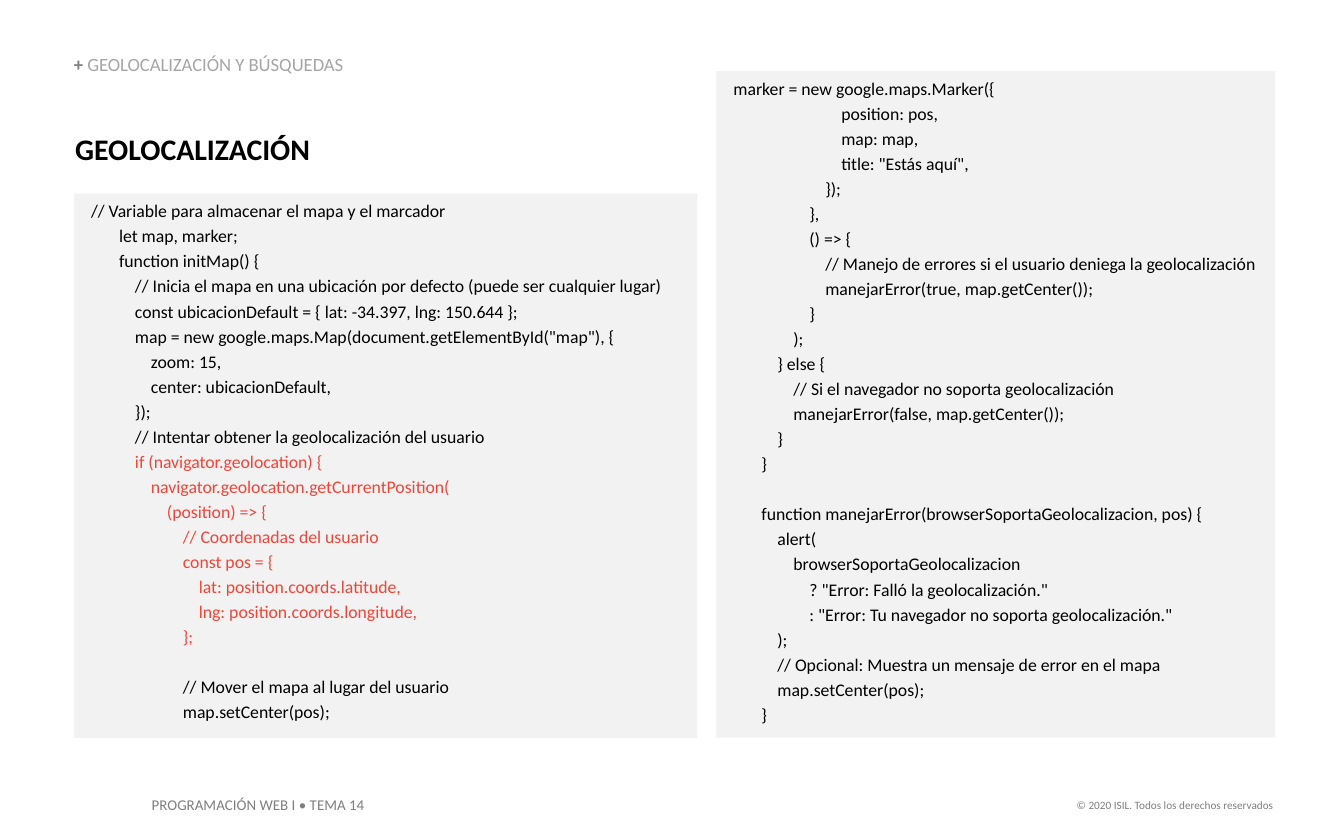
from pptx import Presentation
from pptx.dml.color import RGBColor
from pptx.enum.shapes import MSO_SHAPE
from pptx.enum.text import MSO_ANCHOR, PP_ALIGN
from pptx.util import Inches, Pt

BLACK = RGBColor(0x00, 0x00, 0x00)
RED = RGBColor(0xEF, 0x46, 0x39)
GRAY = RGBColor(0x7F, 0x7F, 0x7F)
LIGHT_GRAY = RGBColor(0xA5, 0xA5, 0xA5)
PANEL = RGBColor(0xF2, 0xF2, 0xF2)

LINE_GAP = 2
BLANK_LINE_GAP = 15.4

MAP_SETUP = """ // Variable para almacenar el mapa y el marcador
        let map, marker;
        function initMap() {
            // Inicia el mapa en una ubicación por defecto (puede ser cualquier lugar)
            const ubicacionDefault = { lat: -34.397, lng: 150.644 };
            map = new google.maps.Map(document.getElementById("map"), {
                zoom: 15,
                center: ubicacionDefault,
            });
            // Intentar obtener la geolocalización del usuario"""

USER_POSITION = """            if (navigator.geolocation) {
                navigator.geolocation.getCurrentPosition(
                    (position) => {
                        // Coordenadas del usuario
                        const pos = {
                            lat: position.coords.latitude,
                            lng: position.coords.longitude,
                        };"""

MOVE_MAP = """
                        // Mover el mapa al lugar del usuario
                        map.setCenter(pos);"""

MARKER = """ marker = new google.maps.Marker({
                            position: pos,
                            map: map,
                            title: "Estás aquí",
                        });
                    },
                    () => {
                        // Manejo de errores si el usuario deniega la geolocalización
                        manejarError(true, map.getCenter());
                    }
                );
            } else {
                // Si el navegador no soporta geolocalización
                manejarError(false, map.getCenter());
            }
        }"""

ERROR_HANDLER = """
        function manejarError(browserSoportaGeolocalizacion, pos) {
            alert(
                browserSoportaGeolocalizacion
                    ? "Error: Falló la geolocalización."
                    : "Error: Tu navegador no soporta geolocalización."
            );
            // Opcional: Muestra un mensaje de error en el mapa
            map.setCenter(pos);
        }"""


def add_run(paragraph, text, color, size, bold=False):
    run = paragraph.add_run()
    run.text = text
    for name, value in {"name": "Calibri", "size": Pt(size), "bold": bold}.items():
        setattr(run.font, name, value)
    run.font.color.rgb = color


def set_frame(frame, inset_x, inset_y, anchor=MSO_ANCHOR.TOP):
    frame_format = {
        "word_wrap": True,
        "vertical_anchor": anchor,
        "margin_left": Inches(inset_x),
        "margin_right": Inches(inset_x),
        "margin_top": Inches(inset_y),
        "margin_bottom": Inches(inset_y),
    }
    for name, value in frame_format.items():
        setattr(frame, name, value)


prs = Presentation()
prs.slide_width, prs.slide_height = Inches(10), Inches(6.25)
slide = prs.slides.add_slide(prs.slide_layouts[6])

# Footer
footer = [
    ((1.03, 5.87, 1.89, 0.24), "PROGRAMACIÓN WEB I • TEMA 14", 8, PP_ALIGN.LEFT),
    ((7.88, 5.89, 1.69, 0.2), "© 2020 ISIL. Todos los derechos reservados", 6, PP_ALIGN.RIGHT),
]
for place, text, size, align in footer:
    note = slide.shapes.add_textbox(*map(Inches, place)).text_frame
    set_frame(note, 0.1, 0.05)
    note.paragraphs[0].alignment = align
    add_run(note.paragraphs[0], text, GRAY, size)

# Section label and title
headings = [
    ((0.55, 0.41, 8.94, 0.15), MSO_ANCHOR.BOTTOM,
     [("+ ", GRAY, 10, True), ("GEOLOCALIZACIÓN Y BÚSQUEDAS", LIGHT_GRAY, 10, False)]),
    ((0.56, 1, 4.59, 0.51), MSO_ANCHOR.TOP, [("GEOLOCALIZACIÓN", BLACK, 16, True)]),
]
for place, anchor, runs in headings:
    heading = slide.shapes.add_textbox(*map(Inches, place)).text_frame
    set_frame(heading, 0, 0, anchor)
    heading.paragraphs[0].line_spacing = 0.9
    for run in runs:
        add_run(heading.paragraphs[0], *run)

# Code panels: an empty code line becomes a wider gap above the next line
panels = [
    ((0.55, 1.44, 4.64, 4.05), [(MAP_SETUP, BLACK), (USER_POSITION, RED), (MOVE_MAP, BLACK)]),
    ((5.33, 0.53, 4.16, 4.96), [(MARKER, BLACK), (ERROR_HANDLER, BLACK)]),
]
for place, blocks in panels:
    panel = slide.shapes.add_shape(MSO_SHAPE.RECTANGLE, *map(Inches, place))
    panel.shadow.inherit = False
    panel.fill.solid()
    panel.fill.fore_color.rgb = PANEL
    panel.line.fill.background()
    set_frame(panel.text_frame, 0.1, 0.05)

    paragraph = panel.text_frame.paragraphs[0]
    gap = 0
    for code, color in blocks:
        for line in code.split("\n"):
            if not line:
                gap = BLANK_LINE_GAP
                continue
            if paragraph.runs:
                paragraph = panel.text_frame.add_paragraph()
            paragraph.alignment = PP_ALIGN.LEFT
            paragraph.space_before = Pt(gap)
            add_run(paragraph, line, color, 9.5)
            gap = LINE_GAP

prs.save("out.pptx")
